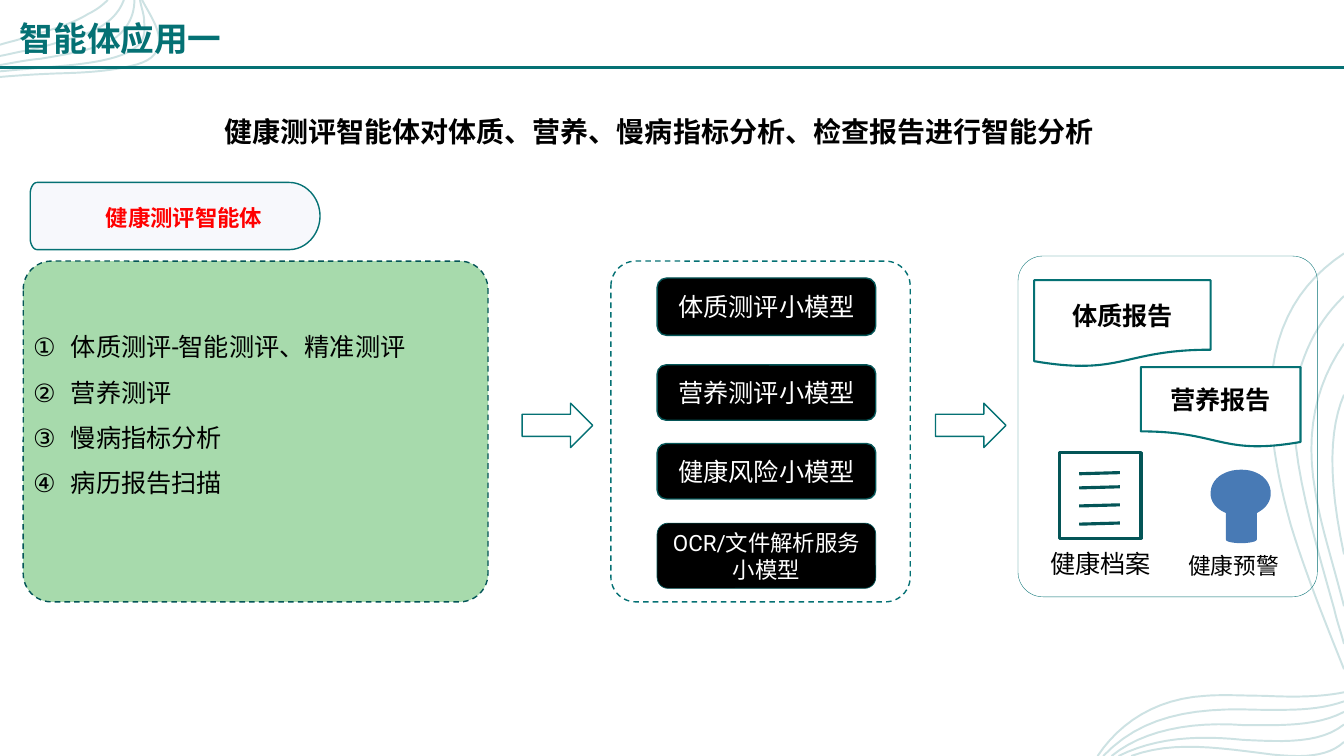
from lxml.etree import SubElement
from pptx import Presentation
from pptx.dml.color import RGBColor
from pptx.enum.dml import MSO_LINE
from pptx.enum.shapes import MSO_CONNECTOR, MSO_SHAPE
from pptx.enum.text import MSO_ANCHOR as ANCHOR, PP_ALIGN as ALIGN
from pptx.oxml.ns import qn
from pptx.util import Pt

FONT = "Roboto"
COLORS = {
    "teal": "057174", "dark": "045557", "black": "000000", "white": "FFFFFF",
    "red": "FF0000", "mint": "A7DAAC", "lavender": "B8C1E4", "blue": "487AB5",
}

# Each strand is a start point followed by three points per cubic curve.
TOP_STRANDS = [
    [(0, 32), (6, 30), (12, 29), (17, 27), (34, 22), (50, 18), (63, 10), (69, 7), (73, 4), (77, 0)],
    [(101.5, 0), (104, 5), (108, 11), (111, 18), (116, 30), (115, 41), (98, 46),
     (80, 51), (60, 52), (41, 52.5), (26, 53), (12, 54), (0, 55)],
    [(100, 0), (101, 6), (103, 10), (103, 16), (104, 24), (102, 30), (98, 33),
     (87, 43), (60, 46), (34, 48), (22, 49), (11, 50), (0, 51)],
    [(96, 0), (96, 9), (93, 17), (86, 24), (76, 34), (53, 38), (29, 42), (18, 43), (9, 45), (0, 46.5)],
    [(88.5, 0), (83, 15), (68, 24), (45, 29), (37, 32), (28, 34), (20, 36), (13, 37), (6, 39), (0, 40)],
]
RIGHT_STRANDS = [
    [(960, 282), (950, 305), (948, 340), (960, 396)],
    [(960, 245.5), (940, 274), (932, 309), (939.5, 351), (943, 374), (951, 398), (960, 433)],
    [(960, 211.5), (943, 228), (932, 248), (926.5, 272), (918, 313), (935, 371), (953, 435),
     (955, 444), (958, 452), (960, 460)],
    [(960, 181), (930, 201), (911, 230), (908, 274), (906, 305), (912, 339), (922, 375),
     (932, 408), (946, 443), (960, 478)],
    [(960, 494.5), (943, 498), (923, 498), (903, 497), (889, 497), (875, 496), (861, 497),
     (826, 499), (800, 516), (784, 540)],
    [(960, 501), (940, 508), (920, 507), (899, 507), (850, 505), (815, 512), (788, 540)],
    [(960, 508.5), (940, 519), (915, 518), (889, 518), (850, 515), (816, 522), (794, 540)],
    [(960, 517.5), (943, 531), (918, 530), (888, 528.5), (855, 525), (825, 527), (799, 540)],
    [(960, 530), (948, 541), (930, 541), (909, 539), (870, 534), (838, 529), (808, 540)],
]
TAB_OUTLINE = [
    [(185, 0), (197, 0), (207, 11), (207, 24), (207, 37), (197, 48), (185, 48)],
    [(5, 48), (2, 48), (0, 44), (0, 40)],
    [(0, 8), (0, 4), (2, 0), (5, 0)],
]
ALERT_OUTLINE = [
    [(22, 0), (34, 0), (43, 7), (43, 17), (43, 23), (39, 28), (33, 31)],
    [(33, 50), (33, 51.5), (27, 52.5), (22, 52.5), (16, 52.5), (11, 51.5), (11, 50)],
    [(11, 31), (4, 28), (0, 23), (0, 17), (0, 7), (9, 0), (22, 0)],
]


def color(name):
    return RGBColor.from_string(COLORS[name])


def sample(strand, left, top, steps=12):
    """Points along a chain of cubic curves, moved to left, top."""
    points = [strand[0]]
    for i in range(0, len(strand) - 1, 3):
        a, b, c, d = strand[i:i + 4]
        for step in range(1, steps + 1):
            t = step / steps
            u = 1 - t
            points.append(tuple(
                u**3 * a[k] + 3 * u * u * t * b[k] + 3 * u * t * t * c[k] + t**3 * d[k]
                for k in (0, 1)))
    return [(Pt(left + x), Pt(top + y)) for x, y in points]


def add_curves(page, strands, left=0, top=0, closed=False):
    runs = [sample(strand, left, top) for strand in strands]
    if closed:
        runs = [[point for run in runs for point in run]]
    builder = page.shapes.build_freeform(*runs[0][0], scale=1.0)
    for number, run in enumerate(runs):
        if number:
            builder.move_to(*run[0])
        builder.add_line_segments(run[1:], close=closed)
    return builder.convert_to_shape()


def paint(shape, fill=None, line=None, width=1, dash=False):
    shape.shadow.inherit = False
    if fill:
        shape.fill.solid()
        shape.fill.fore_color.rgb = color(fill)
    else:
        shape.fill.background()
    if line:
        shape.line.color.rgb = color(line)
        shape.line.width = Pt(width)
        if dash:
            shape.line.dash_style = MSO_LINE.DASH
    else:
        shape.line.fill.background()


def fade(shape, percent):
    for tint in shape.element.spPr.iter(qn("a:srgbClr")):
        SubElement(tint, qn("a:alpha"), val=str(percent * 1000))


def write(shape, text, size, ink="black", bold=False, align=ALIGN.LEFT, anchor=ANCHOR.MIDDLE):
    frame = shape.text_frame
    frame.word_wrap = True
    frame.vertical_anchor = anchor
    frame.text = text
    for para in frame.paragraphs:
        para.alignment = align
        for span in para.runs:
            span.font.size, span.font.bold, span.font.name = Pt(size), bold, FONT
            span.font.color.rgb = color(ink)
            SubElement(span.font._element, qn("a:ea"), typeface=FONT)
    return frame


def add_label(page, box, text, size, **style):
    label = page.shapes.add_textbox(*map(Pt, box))
    return write(label, text, size, **{"anchor": ANCHOR.TOP, **style})


def add_box(page, kind, box, **style):
    shape = page.shapes.add_shape(kind, *map(Pt, box))
    paint(shape, **style)
    return shape


def add_panel(page, box, **style):
    add_box(page, MSO_SHAPE.ROUNDED_RECTANGLE, box, **style).adjustments[0] = 0.083


def add_rule(page, x1, y1, x2, y2, ink, width):
    rule = page.shapes.add_connector(MSO_CONNECTOR.STRAIGHT, Pt(x1), Pt(y1), Pt(x2), Pt(y2))
    rule.line.color.rgb = color(ink)
    rule.line.width = Pt(width)
    SubElement(rule.element.spPr, qn("a:effectLst"))


def add_backdrop(page):
    for strands in (TOP_STRANDS, RIGHT_STRANDS):
        waves = add_curves(page, strands)
        paint(waves, line="teal", width=1.4)
        fade(waves, 20)


def add_header(page, left, top, width):
    add_rule(page, left, top + 48.3, left + width, top + 48.3, "teal", 2.5)
    add_label(page, (left + 7.2, top + 9.4, 210, 36), "智能体应用一", 24, ink="teal", bold=True)
    add_label(page, (left + 20.9, top + 66.2, 900, 55.4),
              "健康测评智能体对体质、营养、慢病指标分析、检查报告进行智能分析",
              20, bold=True, align=ALIGN.CENTER, anchor=ANCHOR.MIDDLE)


def add_agent(page, left, top, width, height):
    # Name tab
    tab = add_curves(page, TAB_OUTLINE, left + 5, top - 56.2, closed=True)
    paint(tab, fill="lavender")
    fade(tab, 10)
    tab.line.color.rgb = color("teal")
    tab.line.width = Pt(1)
    frame = write(tab, "健康测评智能体", 16, ink="red", bold=True)
    frame.margin_left, frame.margin_top, frame.margin_right = Pt(54), 0, Pt(8.6)
    frame.paragraphs[0].line_spacing = 1.3
    # Numbered services
    add_panel(page, (left, top, width, height), fill="mint", line="dark", dash=True)
    services = ["体质测评-智能测评、精准测评", "营养测评", "慢病指标分析", "病历报告扫描"]
    frame = add_label(page, (left, top + 36, width - 13, 200), "\n".join(services), 18)
    for para in frame.paragraphs:
        para.line_spacing = 1.5
        props = para._p.get_or_add_pPr()
        props.set("marL", str(Pt(27)))
        props.set("indent", str(Pt(-27)))
        SubElement(props, qn("a:buAutoNum"), type="circleNumDbPlain")


def add_models(page, left, top, width, height):
    add_panel(page, (left, top, width, height), line="teal", dash=True)
    for text, drop, tall, size in [
        ("体质测评小模型", 12.1, 41, 18),
        ("营养测评小模型", 74.1, 39.6, 18),
        ("健康风险小模型", 130.3, 39.6, 18),
        ("OCR/文件解析服务小模型", 187.2, 46.6, 16),
    ]:
        model = add_box(page, MSO_SHAPE.ROUNDED_RECTANGLE, (left + 33, top + drop, 156.2, tall),
                        fill="black", line="dark", width=1 if size == 18 else 0.5)
        write(model, text, size, ink="white", align=ALIGN.CENTER)


def add_results(page, left, top, width, height):
    add_panel(page, (left, top, width, height), line="teal", width=0.25)
    # Reports, the second one mirrored
    for text, x, y, wide, tall, mirrored in [
        ("体质报告", 11.5, 17.2, 126, 62, False),
        ("营养报告", 87.8, 79.3, 114, 57.3, True),
    ]:
        report = add_box(page, MSO_SHAPE.FLOWCHART_DOCUMENT, (left + x, top + y, wide, tall),
                         fill="white", line="teal", width=1.5)
        report.element.spPr.xfrm.flipH = mirrored
        write(report, text, 18, bold=True, align=ALIGN.CENTER)
    # Health record
    add_box(page, MSO_SHAPE.RECTANGLE, (left + 29.5, top + 140.4, 58.3, 61.2), line="dark", width=2.25)
    for y in (155.5, 165.6, 178.5, 191.5):
        add_rule(page, left + 43.7, top + y, left + 72.7, top + y - 0.8, "dark", 2.25)
    add_label(page, (left + 15.8, top + 205.2, 88.6, 29), "健康档案", 18)
    # Health alert
    alert = add_curves(page, ALERT_OUTLINE, left + 137.5, top + 152.6, closed=True)
    paint(alert, fill="blue")
    add_label(page, (left + 114.5, top + 208, 88.6, 29), "健康预警", 16.2)


def main():
    deck = Presentation()
    deck.slide_width, deck.slide_height = Pt(960), Pt(540)
    page = deck.slides.add_slide(deck.slide_layouts[6])
    add_backdrop(page)
    add_header(page, 0, 0, 960)
    add_agent(page, 16.6, 186.5, 332, 243.4)
    add_models(page, 436.4, 186.5, 213.8, 243.4)
    add_results(page, 727.2, 182.9, 213.8, 243.4)
    for left in (373, 668.2):
        add_box(page, MSO_SHAPE.RIGHT_ARROW, (left, 288, 50.4, 31.7), line="teal")
    deck.save("out.pptx")


if __name__ == "__main__":
    main()
